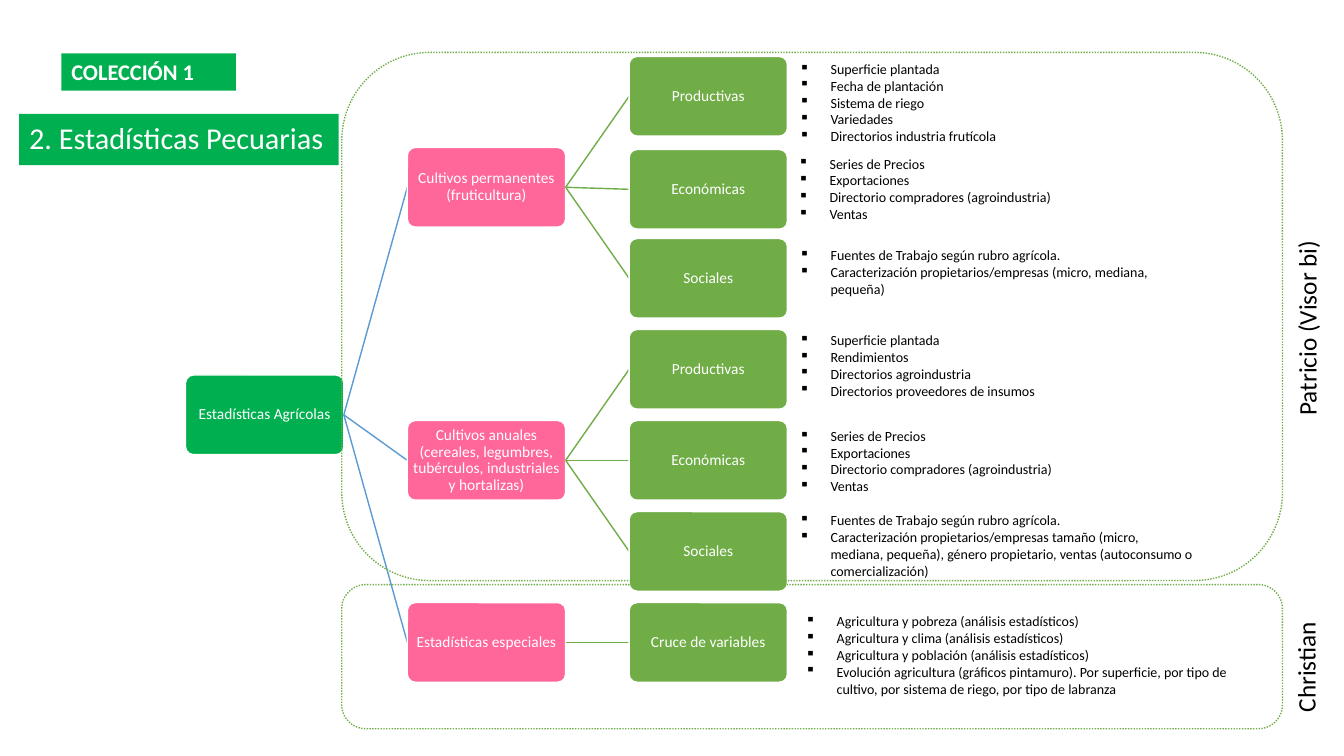
import pptx
import pptx.util
import pptx.dml.color
import pptx.enum.dml
import pptx.enum.shapes
import pptx.enum.text
from lxml import etree

Inches, Pt = pptx.util.Inches, pptx.util.Pt
RGB = pptx.dml.color.RGBColor
Kind = pptx.enum.shapes.MSO_SHAPE
Align = pptx.enum.text.PP_ALIGN
Anchor = pptx.enum.text.MSO_ANCHOR

WHITE = RGB(0xFF, 0xFF, 0xFF)
BLACK = RGB(0, 0, 0)
GREEN = RGB(0x00, 0xB0, 0x50)
LEAF = RGB(0x70, 0xAD, 0x47)
PINK = RGB(0xFF, 0x66, 0x99)
BLUE = RGB(0x5B, 0x9B, 0xD5)

# Tree measures: node size, column step, row step
WIDE, HIGH, STEP, ROW = 1.57, 0.79, 2.2, 0.903

# Each branch: row, name, leaves as (name, nudge, list left, list top, list width, items)
TREE = [
    (1, "Cultivos permanentes (fruticultura)", [
        ("Productivas", 0, 7.83, 0.55, 4.48, [
            "Superficie plantada", "Fecha de plantación", "Sistema de riego",
            "Variedades", "Directorios industria frutícola"]),
        ("Económicas", 0.02, 7.82, 1.49, 4.11, [
            "Series de Precios", "Exportaciones",
            "Directorio compradores (agroindustria)", "Ventas"]),
        ("Sociales", 0, 7.83, 2.4, 4.11, [
            "Fuentes de Trabajo según rubro agrícola.",
            "Caracterización propietarios/empresas (micro, mediana, pequeña)"])]),
    (4, "Cultivos anuales (cereales, legumbres, tubérculos, industriales y hortalizas)", [
        ("Productivas", 0, 7.83, 3.24, 4.48, [
            "Superficie plantada", "Rendimientos", "Directorios agroindustria",
            "Directorios proveedores de insumos"]),
        ("Económicas", 0, 7.83, 4.19, 4.11, [
            "Series de Precios", "Exportaciones",
            "Directorio compradores (agroindustria)", "Ventas"]),
        ("Sociales", 0, 7.83, 5.03, 4.11, [
            "Fuentes de Trabajo según rubro agrícola.",
            "Caracterización propietarios/empresas tamaño (micro, mediana, pequeña), "
            "género propietario, ventas (autoconsumo o comercialización)"])]),
    (6, "Estadísticas especiales", [
        ("Cruce de variables", 0, 7.89, 6.03, 4.52, [
            "Agricultura y pobreza (análisis estadísticos)",
            "Agricultura y clima (análisis estadísticos)",
            "Agricultura y población (análisis estadísticos)",
            "Evolución agricultura (gráficos pintamuro). Por superficie, por tipo de "
            "cultivo, por sistema de riego, por tipo de labranza"])]),
]


def write(shape, lines, size=10, color=BLACK, bold=False, align=Align.LEFT,
          anchor=Anchor.TOP, inset=None, space=None, mark=None):
    frame = shape.text_frame
    frame.word_wrap = True
    frame.vertical_anchor = anchor
    if inset is not None:
        frame.margin_left = frame.margin_right = Inches(inset)
        frame.margin_top = frame.margin_bottom = Inches(inset)
    for i, line in enumerate(lines):
        par = frame.add_paragraph() if i else frame.paragraphs[0]
        par.alignment = align
        if space:
            par.line_spacing = space
        run = par.add_run()
        run.text = line
        font = run.font
        font.name, font.size, font.bold = "Calibri", Pt(size), bold
        font.color.rgb = color
        if mark:
            props = par._p.get_or_add_pPr()
            props.set("marL", str(Inches(0.31)))
            props.set("indent", str(-Inches(0.31)))
            bullet = etree.SubElement(props, pptx.oxml.ns.qn("a:buChar"))
            bullet.set("char", mark)


def block(slide, kind, box, fill=None, line=None):
    shape = slide.shapes.add_shape(kind, *map(Inches, box))
    shape.shadow.inherit = False
    if fill is None:
        shape.fill.background()
    else:
        shape.fill.solid()
        shape.fill.fore_color.rgb = fill
    if line is None:
        shape.line.fill.background()
    else:
        shape.line.color.rgb = line
        shape.line.width = Pt(1)
    return shape


def node(slide, left, top, name, fill):
    shape = block(slide, Kind.ROUNDED_RECTANGLE, (left, top, WIDE, HIGH), fill, WHITE)
    shape.adjustments[0] = 0.1
    write(shape, [name], size=11, color=WHITE, align=Align.CENTER,
          anchor=Anchor.MIDDLE, inset=0.03, space=0.9)


def link(slide, left, start, end, color):
    """Join the right side of one node to the left side of the next."""
    half = HIGH / 2
    ends = (left + WIDE, start + half, left + STEP, end + half)
    line = slide.shapes.add_connector(
        pptx.enum.shapes.MSO_CONNECTOR.STRAIGHT, *map(Inches, ends))
    line.line.color.rgb = color
    line.line.width = Pt(1)
    etree.SubElement(line._element.spPr, pptx.oxml.ns.qn("a:effectLst"))


def detail(slide, box, items):
    shape = slide.shapes.add_textbox(*map(Inches, box))
    write(shape, items, mark="▪")


def tree(slide, left, top):
    root = top + 3.5 * ROW
    node(slide, left, root, "Estadísticas Agrícolas", GREEN)
    mid, far = left + STEP, left + 2 * STEP
    row = 0
    for place, name, leaves in TREE:
        branch = top + place * ROW
        link(slide, left, root, branch, BLUE)
        node(slide, mid, branch, name, PINK)
        for label, nudge, x, y, width, items in leaves:
            leaf = top + row * ROW + nudge
            link(slide, mid, branch, leaf, LEAF)
            node(slide, far, leaf, label, LEAF)
            detail(slide, (x, y, width, 0.94 if len(items) > 4 else 0.77 if y != 2.4 else 0.61), items)
            row += 1


def banner(slide, box, text, **form):
    write(block(slide, Kind.RECTANGLE, box, GREEN), [text], color=WHITE, **form)


def zone(slide, box, owner, middle, length, axis):
    """Dotted frame with its owner's name running up the right side."""
    frame = block(slide, Kind.ROUNDED_RECTANGLE, box, line=LEAF)
    frame.line.dash_style = pptx.enum.dml.MSO_LINE.ROUND_DOT
    left, top, width, _ = box
    place = (left + width + axis - length / 2, top + middle - 0.2, length, 0.4)
    label = slide.shapes.add_textbox(*map(Inches, place))
    label.rotation = 270
    write(label, [owner], size=18)


def main():
    deck = pptx.Presentation()
    deck.slide_width, deck.slide_height = Inches(13.33), Inches(7.5)
    slide = deck.slides.add_slide(deck.slide_layouts[6])
    # Headings
    banner(slide, (0.19, 1.13, 3.17, 0.51), "2. Estadísticas Pecuarias",
           size=21.6, anchor=Anchor.MIDDLE, space=0.9)
    banner(slide, (0.61, 0.53, 1.73, 0.37), "COLECCIÓN 1", size=16, bold=True)
    # Tree with its lists
    tree(slide, 1.84, 0.56)
    # Frames by owner
    zone(slide, (3.39, 5.8, 9.33, 1.43), "Christian", 0.68, 1.37, 0.23)
    zone(slide, (3.39, 0.52, 9.33, 5.24), "Patricio (Visor bi)", 2.24, 2.92, 0.24)
    deck.save("out.pptx")


if __name__ == "__main__":
    main()
